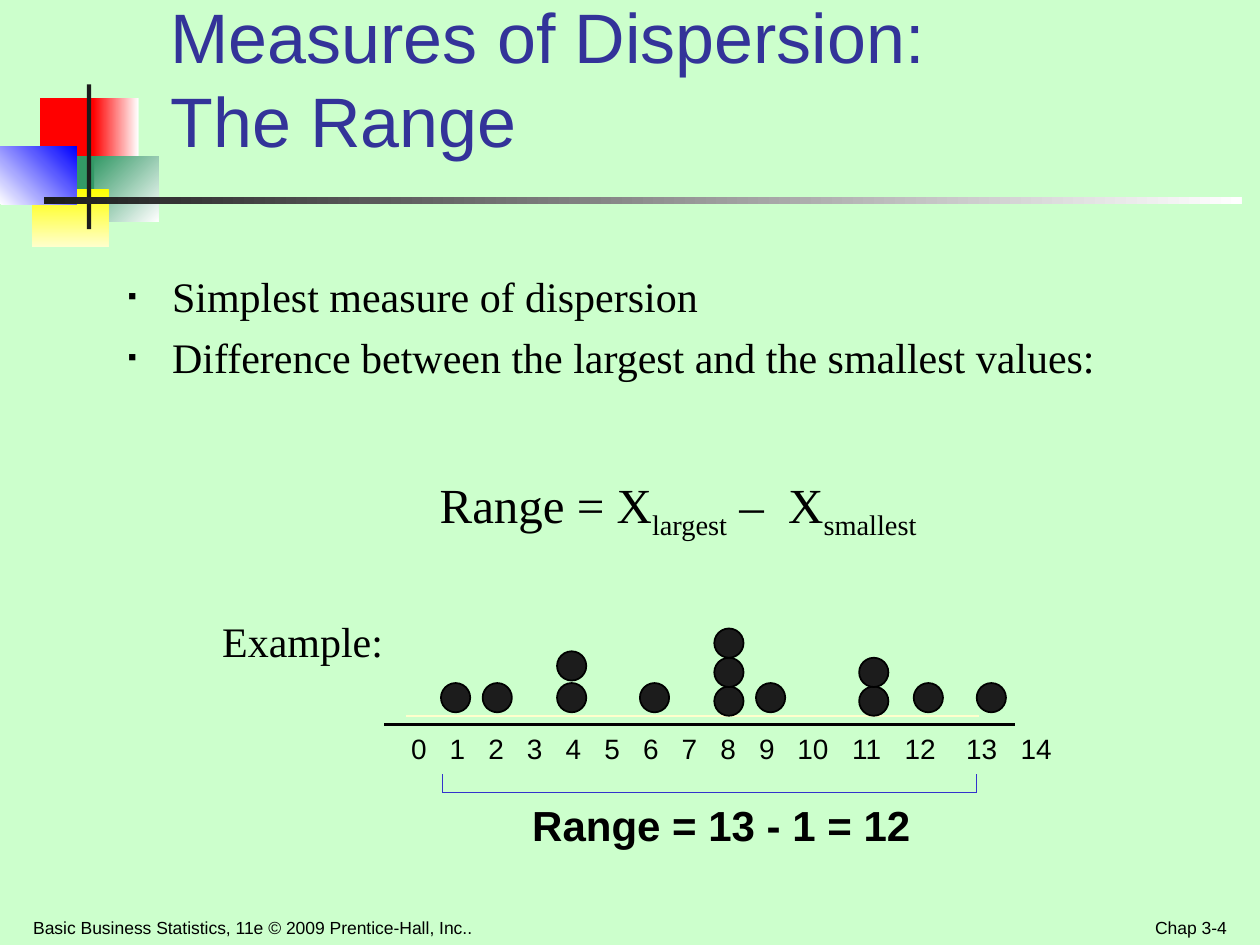
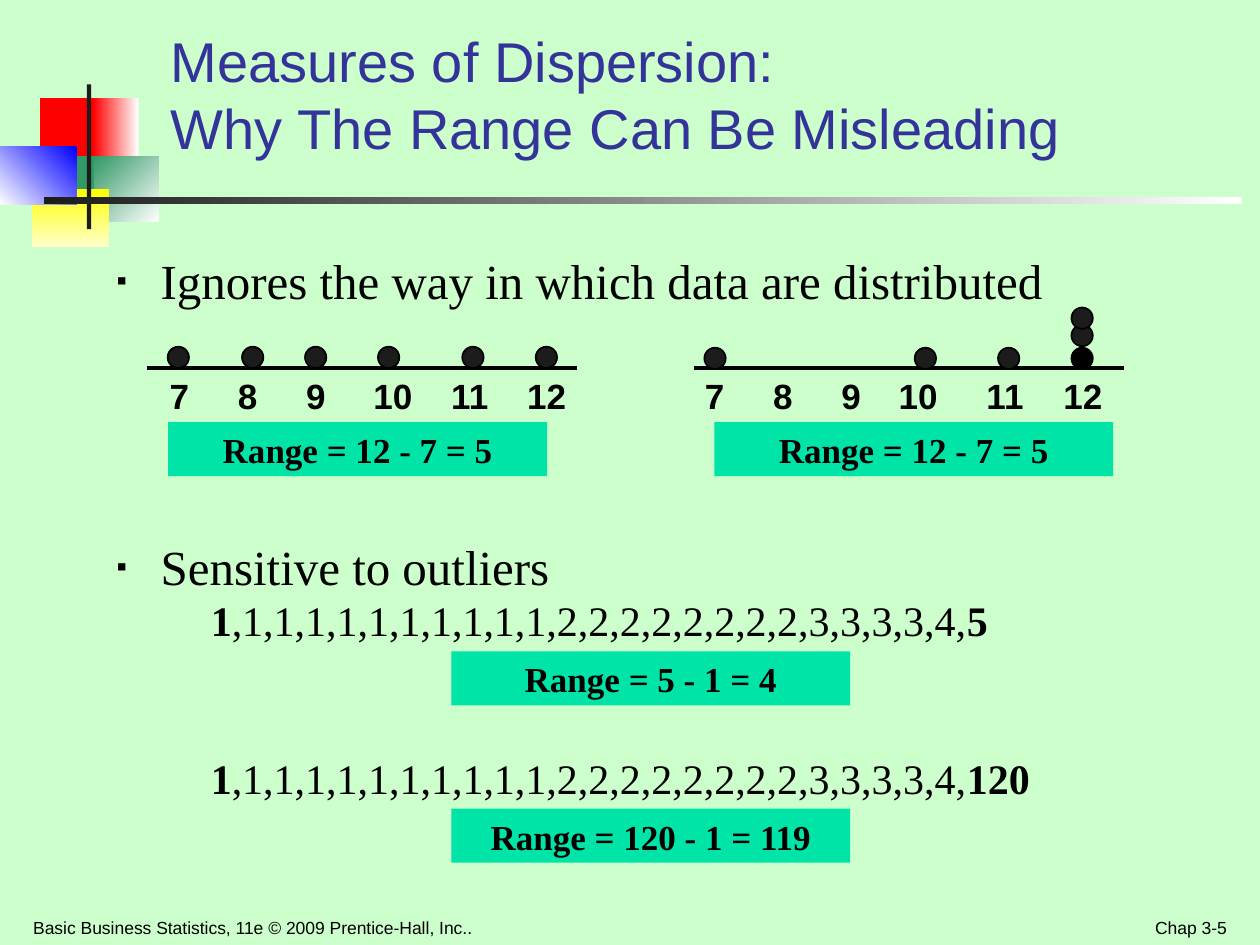
from lxml import etree
from pptx import Presentation
from pptx.dml.color import RGBColor
from pptx.enum.shapes import MSO_CONNECTOR, MSO_SHAPE
from pptx.enum.text import MSO_ANCHOR, PP_ALIGN
from pptx.oxml.ns import qn
from pptx.util import Cm, Pt

RECTANGLE, OVAL = MSO_SHAPE.RECTANGLE, MSO_SHAPE.OVAL
STRAIGHT = MSO_CONNECTOR.STRAIGHT
TOP, BOTTOM = MSO_ANCHOR.TOP, MSO_ANCHOR.BOTTOM
LEFT, CENTER, RIGHT = PP_ALIGN.LEFT, PP_ALIGN.CENTER, PP_ALIGN.RIGHT

color = RGBColor.from_string
SANS, SERIF = "Arial", "Times New Roman"
BACKGROUND, TITLE_BLUE, BRACKET_BLUE = "CCFFCC", "333399", "3333CC"
BLACK, CHARCOAL, WHITE, CREAM = "000000", "1C1C1C", "FFFFFF", "FFFFCC"
RED, GREEN, YELLOW, BLUE, MINT = "FF0000", "339966", "FFFF00", "0000FF", "00E4A8"


def add_box(page, place, kind=None, fill=None, line=None, anchor=TOP):
    lengths = [Cm(value) for value in place]
    if kind is None:
        box = page.shapes.add_textbox(*lengths)
    else:
        box = page.shapes.add_shape(kind, *lengths)
        box.shadow.inherit = False
        box.fill.solid()
        box.fill.fore_color.rgb = color(fill)
        if line:
            box.line.color.rgb = color(line)
            box.line.width = Pt(1)
        else:
            box.line.fill.background()
    frame = box.text_frame
    frame.word_wrap = True
    frame.vertical_anchor = anchor
    frame.margin_left = frame.margin_right = Cm(0.24)
    frame.margin_top = frame.margin_bottom = Cm(0.13)
    return box


def write(para, spans, size, font=SERIF, ink=BLACK, align=LEFT):
    para.alignment = align
    for text, style in spans:
        span = para.add_run()
        span.text = text
        span.font.size = Pt(size)
        span.font.name = font
        span.font.color.rgb = color(ink)
        span.font.bold = style == "bold"
        if style == "subscript":
            span._r.get_or_add_rPr().set("baseline", "-25000")


deck = Presentation()
deck.slide_width, deck.slide_height = Cm(25.4), Cm(19.05)

ornaments = [
    ((0.81, 1.98, 1.22, 1.32), RED, None, 0),
    ((1.88, 1.98, 0.91, 1.32), RED, WHITE, 0),
    ((1.9, 3.15, 1.3, 1.32), GREEN, WHITE, 45),
    ((1.09, 3.15, 0.81, 1.32), GREEN, None, 0),
    ((0.64, 3.81, 1.55, 1.17), YELLOW, CREAM, 90),
    ((0, 2.95, 1.55, 1.17), WHITE, BLUE, 315),
    ((1.75, 1.7, 0.09, 2.92), CHARCOAL, None, 0),
    ((0.89, 3.97, 24.14, 0.15), CHARCOAL, WHITE, 0),
]
titles = [("The Range", 40), ("Why The Range Can Be Misleading", 32)]
pages = []
for number, (subject, size) in enumerate(titles, start=4):
    page = deck.slides.add_slide(deck.slide_layouts[6])
    page.background.fill.solid()
    page.background.fill.fore_color.rgb = color(BACKGROUND)
    for place, start, end, angle in ornaments:
        ornament = add_box(page, place, RECTANGLE, start)
        if end:
            ornament.fill.gradient()
            ornament.fill.gradient_angle = (360 - angle) % 360
            for stop, shade in zip(ornament.fill.gradient_stops, (start, end)):
                stop.color.rgb = color(shade)
    footers = [
        ((0.43, 18.16, 12.9, 0.89), "Basic Business Statistics, 11e © 2009 Prentice-Hall, Inc..", LEFT),
        ((19.05, 18.16, 5.92, 0.89), f"Chap 3-{number}", RIGHT),
    ]
    for place, text, align in footers:
        footer = add_box(page, place, anchor=BOTTOM)
        write(footer.text_frame.paragraphs[0], [(text, "")], 10, SANS, align=align)
    title = add_box(page, (3.2, 0.64, 20.5, 2.74), anchor=BOTTOM)
    heading = title.text_frame.paragraphs[0]
    write(heading, [("Measures of Dispersion:", "")], size, SANS, TITLE_BLUE)
    heading.add_line_break()
    write(heading, [(subject, "")], size, SANS, TITLE_BLUE)
    pages.append(page)
range_page, misleading_page = pages

bullet_lists = [
    (range_page, (2.34, 5.32, 22.43, 2.97), 24, 6,
     ["Simplest measure of dispersion",
      "Difference between the largest and the smallest values:"]),
    (misleading_page, (2.11, 4.92, 22.43, 11.43), 28, 130,
     ["Ignores the way in which data are distributed", "Sensitive to outliers"]),
]
for page, place, size, gap, points in bullet_lists:
    frame = add_box(page, place).text_frame
    for index, point in enumerate(points):
        para = frame.add_paragraph() if index else frame.paragraphs[0]
        properties = para._p.get_or_add_pPr()
        properties.set("marL", str(Cm(0.89)))
        properties.set("indent", str(-Cm(0.89)))
        bullet_color = etree.SubElement(properties, qn("a:buClr"))
        etree.SubElement(bullet_color, qn("a:srgbClr")).set("val", BLACK)
        etree.SubElement(properties, qn("a:buSzPct")).set("val", "60000")
        etree.SubElement(properties, qn("a:buFont")).set("typeface", SANS)
        etree.SubElement(properties, qn("a:buChar")).set("char", "▪")
        if index:
            para.space_before = Pt(gap)
        write(para, [(point, "")], size)

formula = add_box(range_page, (7.42, 8.89, 12.5, 4.09)).text_frame.paragraphs[0]
formula.line_spacing = 1.4
write(formula, [("Range = X", ""), ("largest", "subscript"),
                (" –  X", ""), ("smallest", "subscript")], 28, align=CENTER)

series = ",1,1,1,1,1,1,1,1,1,1,2,2,2,2,2,2,2,2,3,3,3,3,4,"
labels = [
    (range_page, (10.49, 15.98, 10.57, 1.27), [("Range = 13 - 1 = 12", "bold")], SANS),
    (range_page, (4.24, 12.27, 4.24, 1.27), [("Example:", "")], SERIF),
    (misleading_page, (4.01, 11.86, 20.32, 1.27),
     [("1", "bold"), (series, ""), ("5", "bold")], SERIF),
    (misleading_page, (4.01, 15.04, 20.32, 1.27),
     [("1", "bold"), (series, ""), ("120", "bold")], SERIF),
]
for page, place, spans, font in labels:
    write(add_box(page, place).text_frame.paragraphs[0], spans, 24, font)

single_digit_stops = [0.15 + 0.78 * digit for digit in range(1, 10)]
axes = [
    (range_page, (8.05, 14.61, 14.5, 0.91), range(15), 16, "",
     single_digit_stops + [8.1, 9.18, 10.26, 11.5, 12.6]),
    (misleading_page, (3.18, 7.42, 9.09, 1.09), range(7, 13), 20, "bold",
     [1.57, 2.95, 4.5, 6.05, 7.6]),
    (misleading_page, (13.97, 7.42, 9.53, 1.09), range(7, 13), 20, "bold",
     [1.57, 2.95, 4.3, 6.05, 7.62]),
]
for page, place, values, size, style, stops in axes:
    para = add_box(page, place).text_frame.paragraphs[0]
    tab_list = etree.SubElement(para._p.get_or_add_pPr(), qn("a:tabLst"))
    for stop in stops:
        tab = etree.SubElement(tab_list, qn("a:tab"))
        tab.set("pos", str(Cm(stop)))
        tab.set("algn", "ctr")
    write(para, [("\t".join(map(str, values)), style)], size, SANS)

lines = [
    (range_page, 8.18, 14.43, 16.79, 14.43, CREAM, 1),
    (range_page, 16.41, 14.43, 19.74, 14.43, CREAM, 1),
    (range_page, 7.75, 14.61, 20.47, 14.61, BLACK, 1.5),
    (range_page, 8.92, 15.98, 19.69, 15.98, BRACKET_BLUE, 0.75),
    (range_page, 8.92, 15.98, 8.92, 15.6, BRACKET_BLUE, 0.75),
    (range_page, 19.69, 15.98, 19.69, 15.6, BRACKET_BLUE, 0.75),
    (misleading_page, 3.23, 7.42, 11.68, 7.42, CREAM, 1),
    (misleading_page, 14.02, 7.42, 22.5, 7.42, CREAM, 1),
    (misleading_page, 2.97, 7.42, 11.63, 7.42, BLACK, 2.25),
    (misleading_page, 14, 7.42, 22.66, 7.42, BLACK, 2.25),
]
for page, left, top, right, bottom, ink, width in lines:
    line = page.shapes.add_connector(STRAIGHT, Cm(left), Cm(top), Cm(right), Cm(bottom))
    line.line.color.rgb = color(ink)
    line.line.width = Pt(width)
    etree.SubElement(line._element.spPr, qn("a:effectLst"))

dot_groups = [
    (range_page, 0.59, CHARCOAL, [8.89, 9.73, 11.23, 12.9, 15.24, 18.42, 19.69], [13.77]),
    (range_page, 0.59, CHARCOAL, [11.23], [13.13]),
    (range_page, 0.59, CHARCOAL, [14.4, 17.32], [13.84, 13.26]),
    (range_page, 0.59, CHARCOAL, [14.4], [12.67]),
    (misleading_page, 0.43, CHARCOAL, [3.38, 4.88, 6.15, 7.62, 9.32, 10.8], [6.99]),
    (misleading_page, 0.43, CHARCOAL, [14.2, 18.44, 20.12], [7.01]),
    (misleading_page, 0.43, BLACK, [21.6], [7.01]),
    (misleading_page, 0.43, CHARCOAL, [21.6], [6.55, 6.2]),
]
for page, size, fill, lefts, tops in dot_groups:
    for left in lefts:
        for top in tops:
            add_box(page, (left, top, size, size), OVAL, fill, BLACK)

range_results = [
    ((3.39, 8.51, 7.64, 1.09), "Range = 12 - 7 = 5"),
    ((14.4, 8.51, 8.04, 1.09), "Range = 12 - 7 = 5"),
    ((9.1, 13.13, 8.04, 1.09), "Range = 5 - 1 = 4"),
    ((9.1, 16.3, 8.04, 1.09), "Range = 120 - 1 = 119"),
]
for place, text in range_results:
    result = add_box(misleading_page, place, RECTANGLE, MINT)
    write(result.text_frame.paragraphs[0], [(text, "bold")], 20, align=CENTER)

deck.save("out.pptx")
